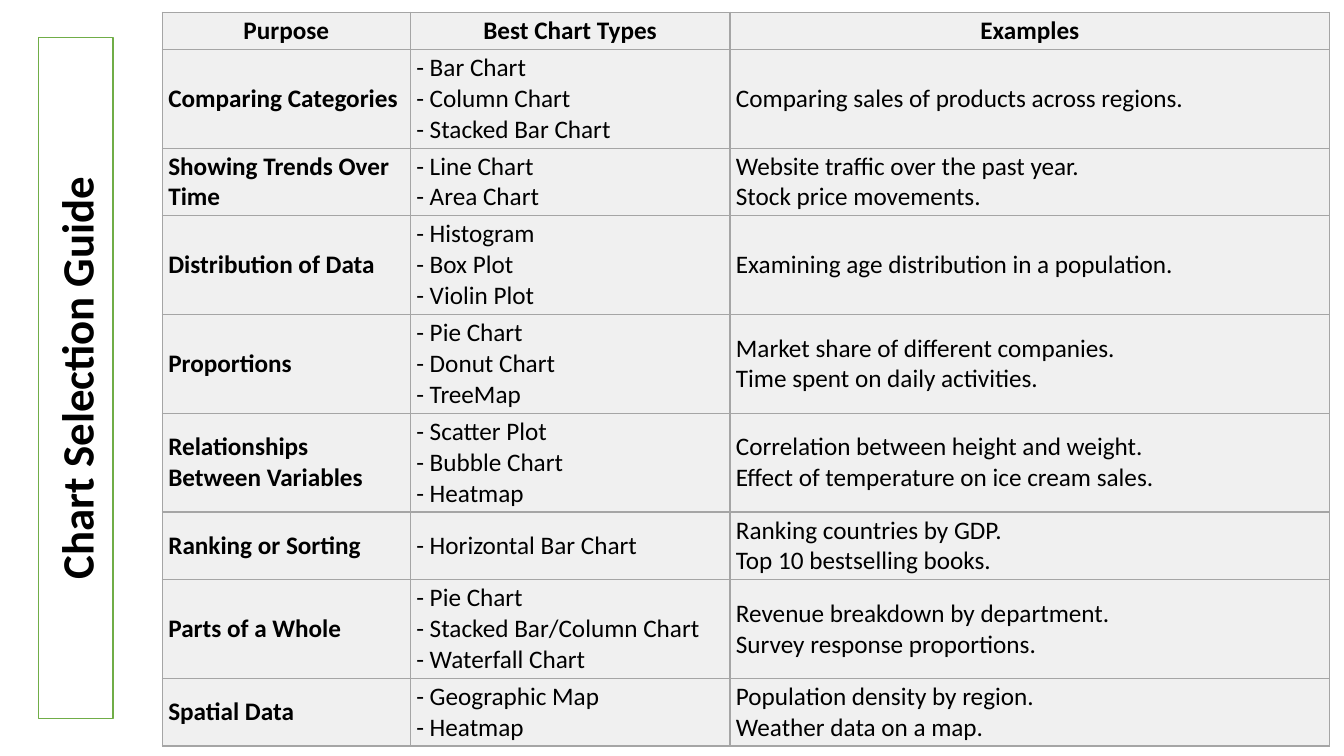
from dataclasses import dataclass

from lxml.etree import SubElement
from pptx import Presentation
from pptx.dml.color import RGBColor
from pptx.enum.shapes import MSO_SHAPE
from pptx.enum.text import MSO_ANCHOR, MSO_AUTO_SIZE, PP_ALIGN
from pptx.oxml.ns import qn
from pptx.slide import Slide
from pptx.table import _Cell as Cell
from pptx.text.text import _Paragraph as Paragraph
from pptx.util import Inches, Pt

COLORS = {
    "text": "000000",
    "cell": "F0F0F0",
    "border": "A5A5A5",
    "title_fill": "FFFFFF",
    "title_line": "70AD47",
}
FONT = "Calibri"
HEADINGS = ("Purpose", "Best Chart Types", "Examples")
COLUMN_WIDTHS = (2.46, 3.17, 5.95)
ROW_HEIGHTS = {1: 0.37, 2: 0.67, 3: 0.98}  # by number of text lines


@dataclass(frozen=True)
class Guideline:
    purpose: str
    charts: tuple[str, ...]
    examples: tuple[str, ...]

    @property
    def texts(self) -> tuple[str, str, str]:
        chart_list = "\n".join(f"- {chart}" for chart in self.charts)
        return self.purpose, chart_list, "\n".join(self.examples)

    @property
    def line_count(self) -> int:
        return max(len(self.charts), len(self.examples))


GUIDELINES = (
    Guideline("Comparing Categories",
              ("Bar Chart", "Column Chart", "Stacked Bar Chart"),
              ("Comparing sales of products across regions.",)),
    Guideline("Showing Trends Over Time",
              ("Line Chart", "Area Chart"),
              ("Website traffic over the past year.", "Stock price movements.")),
    Guideline("Distribution of Data",
              ("Histogram", "Box Plot", "Violin Plot"),
              ("Examining age distribution in a population.",)),
    Guideline("Proportions",
              ("Pie Chart", "Donut Chart", "TreeMap"),
              ("Market share of different companies.", "Time spent on daily activities.")),
    Guideline("Relationships Between Variables",
              ("Scatter Plot", "Bubble Chart", "Heatmap"),
              ("Correlation between height and weight.",
               "Effect of temperature on ice cream sales.")),
    Guideline("Ranking or Sorting",
              ("Horizontal Bar Chart",),
              ("Ranking countries by GDP.", "Top 10 bestselling books.")),
    Guideline("Parts of a Whole",
              ("Pie Chart", "Stacked Bar/Column Chart", "Waterfall Chart"),
              ("Revenue breakdown by department.", "Survey response proportions.")),
    Guideline("Spatial Data",
              ("Geographic Map", "Heatmap"),
              ("Population density by region.", "Weather data on a map.")),
)


def color(name: str) -> RGBColor:
    return RGBColor.from_string(COLORS[name])


def write(paragraph: Paragraph, text: str, size: int, bold: bool, align: PP_ALIGN) -> None:
    paragraph.text = text
    paragraph.alignment = align
    paragraph.font.name = FONT
    paragraph.font.size = Pt(size)
    paragraph.font.bold = bold
    paragraph.font.color.rgb = color("text")


def add_borders(cell: Cell) -> None:
    properties = cell._tc.get_or_add_tcPr()
    for side in ("a:lnL", "a:lnR", "a:lnT", "a:lnB"):
        line = SubElement(properties, qn(side), w=str(Pt(1)))
        fill = SubElement(line, qn("a:solidFill"))
        SubElement(fill, qn("a:srgbClr"), val=COLORS["border"])


def format_cell(cell: Cell, text: str, bold: bool, align: PP_ALIGN) -> None:
    add_borders(cell)
    cell.fill.solid()
    cell.fill.fore_color.rgb = color("cell")
    cell.vertical_anchor = MSO_ANCHOR.MIDDLE
    cell.margin_left = cell.margin_right = Inches(0.06)
    cell.margin_top = cell.margin_bottom = Inches(0.03)
    write(cell.text_frame.paragraphs[0], text, 18, bold, align)


def add_guide_table(slide: Slide) -> None:
    rows = [HEADINGS, *(guideline.texts for guideline in GUIDELINES)]
    heights = [ROW_HEIGHTS[1], *(ROW_HEIGHTS[item.line_count] for item in GUIDELINES)]
    table = slide.shapes.add_table(
        len(rows), len(HEADINGS), Inches(1.61), Inches(0.12),
        Inches(sum(COLUMN_WIDTHS)), Inches(sum(heights))).table
    table.first_row = table.horz_banding = False
    for column, width in zip(table.columns, COLUMN_WIDTHS):
        column.width = Inches(width)
    for row_index, (texts, height) in enumerate(zip(rows, heights)):
        table.rows[row_index].height = Inches(height)
        is_heading = row_index == 0
        align = PP_ALIGN.CENTER if is_heading else PP_ALIGN.LEFT
        for column_index, text in enumerate(texts):
            bold = is_heading or column_index == 0
            format_cell(table.cell(row_index, column_index), text, bold, align)


def add_side_title(slide: Slide, text: str) -> None:
    shape = slide.shapes.add_shape(
        MSO_SHAPE.RECTANGLE, Inches(0.38), Inches(0.37), Inches(0.74), Inches(6.76))
    shape.shadow.inherit = False
    shape.fill.solid()
    shape.fill.fore_color.rgb = color("title_fill")
    shape.line.color.rgb = color("title_line")
    shape.line.width = Pt(1)
    frame = shape.text_frame
    frame.word_wrap = True
    frame.auto_size = MSO_AUTO_SIZE.SHAPE_TO_FIT_TEXT
    frame._txBody.bodyPr.set("vert", "vert270")
    write(frame.paragraphs[0], text, 32, True, PP_ALIGN.CENTER)


def main() -> None:
    presentation = Presentation()
    presentation.slide_width = Inches(13.33)
    presentation.slide_height = Inches(7.5)
    slide = presentation.slides.add_slide(presentation.slide_layouts[6])

    # Guide table
    add_guide_table(slide)

    # Vertical title
    add_side_title(slide, "Chart Selection Guide")

    presentation.save("out.pptx")


if __name__ == "__main__":
    main()
